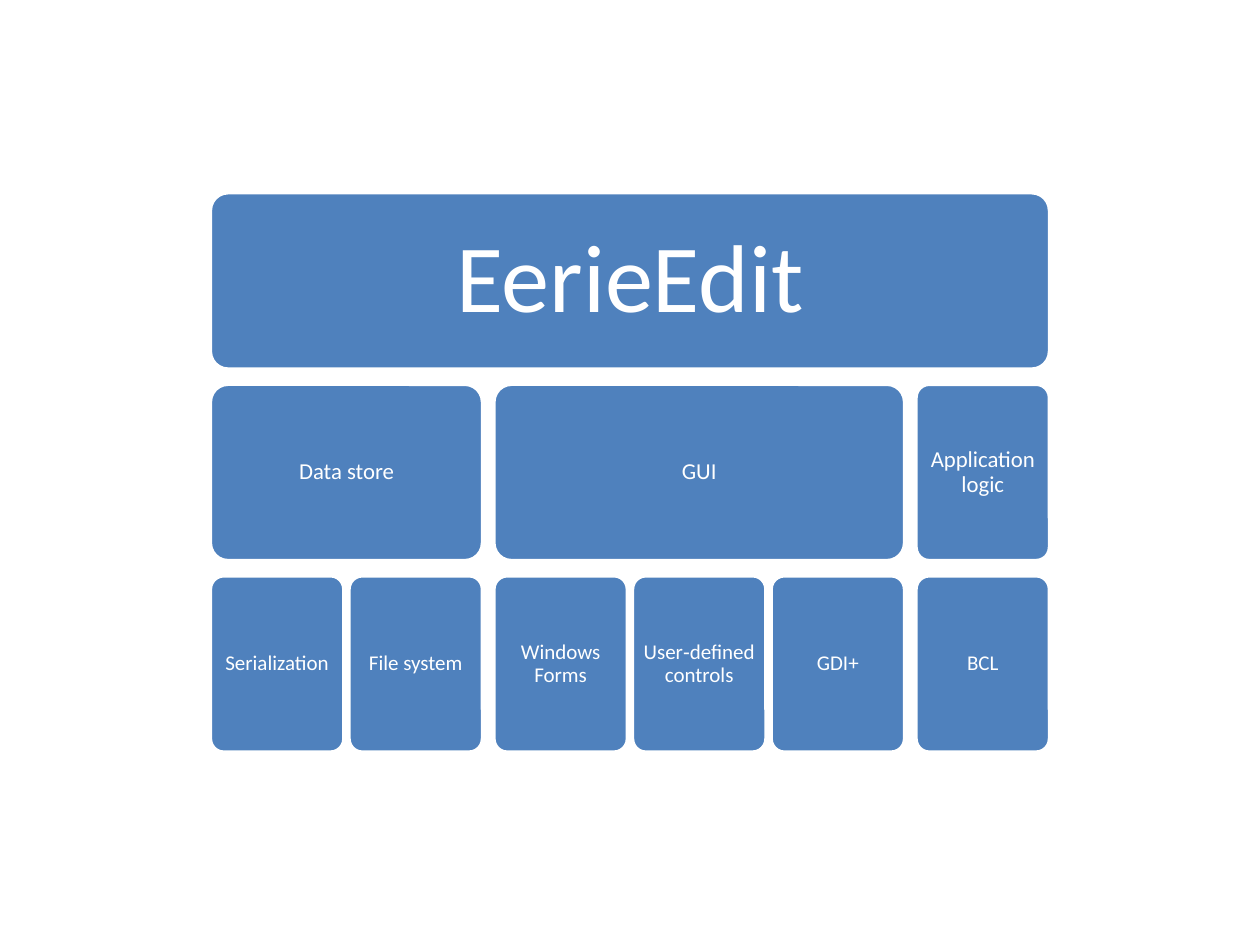
from pptx import Presentation
from pptx.dml.color import RGBColor
from pptx.enum.shapes import MSO_SHAPE
from pptx.enum.text import MSO_ANCHOR, PP_ALIGN
from pptx.util import Inches, Pt

COLORS = {"block": "4F81BD", "white": "FFFFFF"}
FONT = "Calibri"
LEFT, TOP = 1.67, 1.53
BLOCK_W, BLOCK_H = 1.06, 1.4
COL_PITCH, ROW_PITCH = 1.1, 1.52
GROUP_GAP = 0.05

BRANCHES = [
    ("Data store", ["Serialization", "File system"]),
    ("GUI", ["Windows Forms", "User‑defined controls", "GDI+"]),
    ("Application logic", ["BCL"]),
]


class Diagram:
    def __init__(self, s):
        self.s = s

    def color(self, name):
        return RGBColor.from_string(COLORS[name])

    def block(self, text, row, col, cols=1, group=0, groups=1, size=12, inset=0.05):
        x = LEFT + col * COL_PITCH + group * GROUP_GAP
        y = TOP + row * ROW_PITCH
        w = BLOCK_W + (cols - 1) * COL_PITCH + (groups - 1) * GROUP_GAP
        sp = self.s.shapes.add_shape(
            MSO_SHAPE.ROUNDED_RECTANGLE, Inches(x), Inches(y), Inches(w), Inches(BLOCK_H)
        )
        sp.adjustments[0] = 0.1
        sp.shadow.inherit = False
        sp.fill.solid()
        sp.fill.fore_color.rgb = self.color("block")
        sp.line.color.rgb = self.color("white")
        sp.line.width = Pt(2)
        tf = sp.text_frame
        tf.word_wrap = True
        tf.vertical_anchor = MSO_ANCHOR.MIDDLE
        tf.margin_left = tf.margin_right = Inches(inset)
        tf.margin_top = tf.margin_bottom = Inches(inset)
        p = tf.paragraphs[0]
        p.text = text
        p.alignment = PP_ALIGN.CENTER
        p.line_spacing = 0.9
        p.font.name = FONT
        p.font.size = Pt(size)
        p.font.color.rgb = self.color("white")


def main():
    prs = Presentation()
    prs.slide_width, prs.slide_height = Inches(10), Inches(7.5)
    diagram = Diagram(prs.slides.add_slide(prs.slide_layouts[6]))
    total = sum(len(parts) for _, parts in BRANCHES)
    diagram.block("EerieEdit", 0, 0, total, groups=len(BRANCHES), size=55, inset=0.23)
    col = 0
    for group, (branch, parts) in enumerate(BRANCHES):
        diagram.block(branch, 1, col, len(parts), group, size=13)
        for i, part in enumerate(parts):
            diagram.block(part, 2, col + i, group=group)
        col += len(parts)
    prs.save("out.pptx")


if __name__ == "__main__":
    main()
